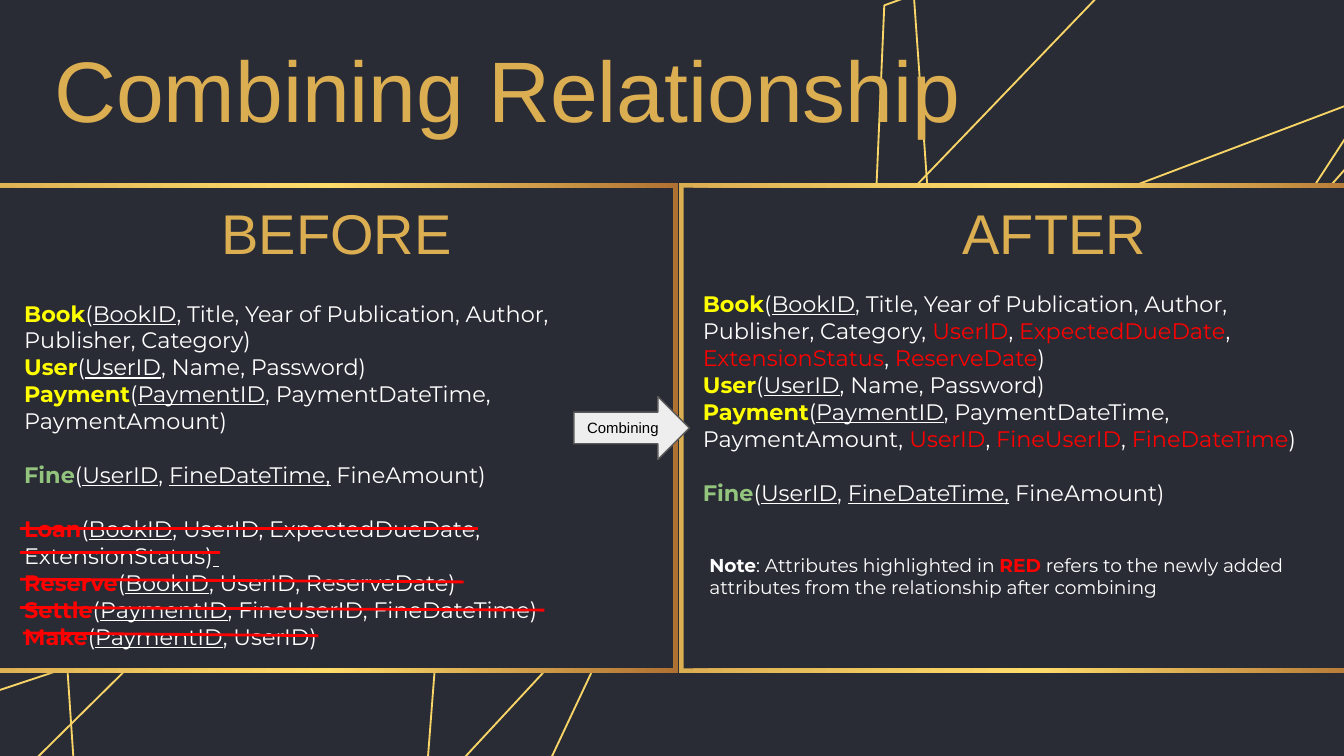
"""Build the Combining Relationship slide with its before and after schemas."""
from copy import deepcopy
from dataclasses import dataclass

from pptx import Presentation
from pptx.dml.color import RGBColor
from pptx.enum.shapes import MSO_CONNECTOR as Connector, MSO_SHAPE as Shape
from pptx.enum.text import MSO_ANCHOR as Anchor, MSO_AUTO_SIZE as AutoSize, PP_ALIGN as Align
from pptx.oxml.ns import qn
from pptx.oxml.xmlchemy import OxmlElement
from pptx.util import Inches, Pt

COLORS = {
    "night": "292C35", "gold": "DCAE52", "light_gold": "FFDD6B", "bronze": "AF7132",
    "web": "F8D566", "white": "FFFFFF", "yellow": "FFFF00", "green": "93C47D",
    "red": "FF0000", "arrow": "EEEEEE", "arrow_edge": "595959", "black": "000000",
}
SANS, MONT = "Arial", "Montserrat"


@dataclass(frozen=True)
class Span:
    text: str
    color: str = "white"
    bold: bool = False
    underline: bool = False


@dataclass(frozen=True)
class Box:
    left: float
    top: float
    width: float
    height: float

    def lengths(self) -> list:
        return [Inches(v) for v in (self.left, self.top, self.width, self.height)]


@dataclass(frozen=True)
class Panel:
    heading: str
    left: float
    heading_box: Box
    list_box: Box
    relations: list
    gaps: tuple


@dataclass(frozen=True)
class Strike:
    left: float
    top: float
    right: float
    bottom: float


def key(text: str) -> Span:
    return Span(text, underline=True)


def relation(name: str, *parts, color: str = "yellow") -> list:
    spans = [part if isinstance(part, Span) else Span(part) for part in parts]
    return [Span(name, color, bold=True), Span("("), *spans]


def added(*names: str) -> list:
    spans = []
    for name in names:
        spans += [Span(name, "red"), Span(", ")]
    return spans[:-1] + [Span(")")]


USER = relation("User", key("UserID"), ", Name, Password)")
FINE = relation("Fine", key("UserID"), ", ", key("FineDateTime,"), " FineAmount)", color="green")
BOOK = "Book", key("BookID")
BOOK_FIELDS = ", Title, Year of Publication, Author, Publisher, Category"
PAYMENT = "Payment", key("PaymentID")
PAYMENT_FIELDS = ", PaymentDateTime, PaymentAmount"

BEFORE = [
    relation(*BOOK, BOOK_FIELDS + ")"),
    USER,
    relation(*PAYMENT, PAYMENT_FIELDS + ")"),
    FINE,
    relation("Loan", key("BookID"), ", UserID, ExpectedDueDate, ExtensionStatus)", key(" "), color="red"),
    relation("Reserve", key("BookID"), ", UserID, ReserveDate)", color="red"),
    relation("Settle", key("PaymentID"), ", FineUserID, FineDateTime)", color="red"),
    relation("Make", key("PaymentID"), ", UserID)", color="red"),
]
AFTER = [
    relation(*BOOK, BOOK_FIELDS + ", ",
             *added("UserID", "ExpectedDueDate", "ExtensionStatus", "ReserveDate")),
    USER,
    relation(*PAYMENT, PAYMENT_FIELDS + ", ", *added("UserID", "FineUserID", "FineDateTime")),
    FINE,
]
NOTE = [
    Span("Note", bold=True), Span(": Attributes highlighted in "), Span("RED", "red", bold=True),
    Span(" refers to the newly added attributes from the relationship after combining"),
]
PANELS = [
    Panel("BEFORE", -0.22, Box(0.95, 1.49, 3.11, 0.47), Box(0.08, 2.13, 4.82, 2.81), BEFORE, (3, 4)),
    Panel("AFTER", 5.05, Box(6.29, 1.49, 3.11, 0.47), Box(5.13, 2.06, 4.82, 2.81), AFTER, (3,)),
]
STRIKES = [
    Strike(0.15, 3.93, 3.56, 3.93), Strike(0.15, 4.11, 1.64, 4.11), Strike(0.15, 4.31, 3.45, 4.33),
    Strike(0.15, 4.52, 4.05, 4.54), Strike(0.17, 4.71, 2.37, 4.73),
]
WEB = [
    [(6.94, 1.95), (6.69, -1.59), (11.05, -0.99), (10.27, 0.69)],
    [(6.5, 1.89), (6.58, 0.04), (9.15, -0.89), (10.57, -0.67), (10.53, 0.23), (9.06, 2.49)],
    [(7.32, 2.78), (6.54, 1.67), (9.2, -1.1), (11.31, -0.22), (9.11, 2.28)],
    [(-0.93, 7.26), (-0.8, 5.4), (1.82, 4.53), (3.25, 4.78), (3.18, 5.69), (1.65, 7.93)],
    [(0.65, 7.16), (-0.1, 6.01), (2.65, 3.29), (4.77, 4.22), (2.48, 6.69)],
    [(0.65, 7.16), (0.41, 3.62), (4.77, 4.22), (3.98, 5.9)],
]


def rgb(name: str) -> RGBColor:
    return RGBColor.from_string(COLORS[name])


def write(shape, paragraphs: list, *, size: float, font: str, align=Align.LEFT,
          anchor=Anchor.TOP, gaps: tuple = ()) -> None:
    frame = shape.text_frame
    frame.word_wrap, frame.auto_size, frame.vertical_anchor = True, AutoSize.NONE, anchor
    frame.margin_left = frame.margin_right = frame.margin_top = frame.margin_bottom = Inches(0.1)
    for index, spans in enumerate(paragraphs):
        para = frame.add_paragraph() if index else frame.paragraphs[0]
        para.alignment, para.space_after = align, Pt(0)
        para.space_before = Pt(size * 1.21 if index in gaps else 0)
        properties = para._p.get_or_add_pPr()
        properties.set("marL", "0")
        properties.set("indent", "0")
        properties.append(OxmlElement("a:buNone"))
        for span in spans:
            run = para.add_run()
            run.text = span.text
            run.font.name, run.font.size = font, Pt(size)
            run.font.bold, run.font.underline = span.bold, span.underline
            run.font.color.rgb = rgb(span.color)


def add_web(slide, points: list) -> None:
    start, *rest = [(Inches(x), Inches(y)) for x, y in points]
    builder = slide.shapes.build_freeform(*start)
    builder.add_line_segments(rest, close=True)
    outline = builder.convert_to_shape()
    outline.shadow.inherit = False
    outline.fill.background()
    outline.line.color.rgb, outline.line.width = rgb("web"), Pt(1)


def add_block(slide, kind, box: Box, color: str):
    block = slide.shapes.add_shape(kind, *box.lengths())
    block.shadow.inherit = False
    block.fill.solid()
    block.fill.fore_color.rgb = rgb(color)
    block.line.fill.background()
    return block


def add_panel(slide, left: float) -> None:
    add_block(slide, Shape.RECTANGLE, Box(left + 0.01, 1.38, 5.23, 3.63), "night")
    border = add_block(slide, Shape.FRAME, Box(left, 1.36, 5.27, 3.65), "gold")
    border.adjustments[0] = 0.01
    border.fill.gradient()
    border.fill.gradient_angle = 0
    stops = border._element.spPr.find(".//" + qn("a:gsLst"))
    stops.insert(1, deepcopy(stops[0]))
    for index, (stop, color) in enumerate(zip(border.fill.gradient_stops, ("gold", "light_gold", "bronze"))):
        stop.position, stop.color.rgb = index / 2, rgb(color)


def add_strike(slide, strike: Strike) -> None:
    ends = [Inches(v) for v in (strike.left, strike.top, strike.right, strike.bottom)]
    line = slide.shapes.add_connector(Connector.STRAIGHT, *ends)
    line.line.color.rgb, line.line.width = rgb("red"), Pt(1.5)
    line._element.spPr.append(OxmlElement("a:effectLst"))


def place(slide, holder, box: Box) -> None:
    holder.left, holder.top, holder.width, holder.height = box.lengths()
    slide.shapes._spTree.append(holder._element)


def main() -> None:
    deck = Presentation()
    deck.slide_width, deck.slide_height = Inches(10), Inches(10) * 9 // 16
    slide = deck.slides.add_slide(deck.slide_layouts.get_by_name("Comparison"))
    slide.background.fill.solid()
    slide.background.fill.fore_color.rgb = rgb("night")
    title, *holders = list(slide.placeholders)
    for points in WEB:
        add_web(slide, points)
    for panel in PANELS:
        add_panel(slide, panel.left)
    place(slide, title, Box(0.17, 0.17, 7.21, 0.98))
    write(title, [[Span("Combining Relationship", "gold")]], size=46, font=SANS, align=Align.CENTER)
    for panel, heading, body in zip(PANELS, holders[::2], holders[1::2]):
        place(slide, heading, panel.heading_box)
        write(heading, [[Span(panel.heading, "gold")]], size=30, font=SANS,
              align=Align.CENTER, anchor=Anchor.MIDDLE)
        place(slide, body, panel.list_box)
        write(body, panel.relations, size=12, font=MONT, gaps=panel.gaps)
    for strike in STRIKES:
        add_strike(slide, strike)
    arrow = add_block(slide, Shape.RIGHT_ARROW, Box(4.27, 2.95, 0.86, 0.47), "arrow")
    arrow.line.color.rgb, arrow.line.width = rgb("arrow_edge"), Pt(0.75)
    write(arrow, [[Span("Combining", "black")]], size=8, font=SANS, anchor=Anchor.MIDDLE)
    note = slide.shapes.add_textbox(*Box(5.18, 4.02, 4.82, 0.54).lengths())
    write(note, [NOTE], size=10, font=MONT)
    deck.save("out.pptx")


if __name__ == "__main__":
    main()
